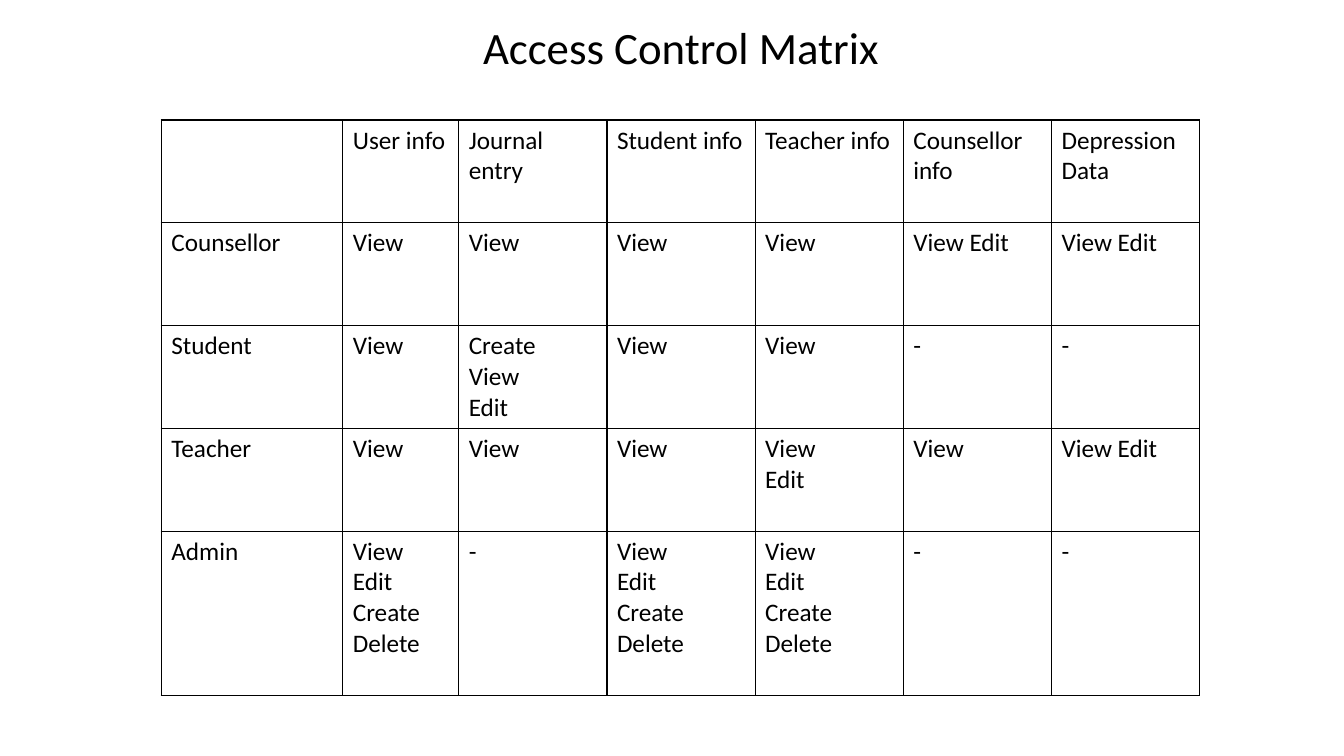
from lxml import etree
from pptx import Presentation
from pptx.dml.color import RGBColor
from pptx.enum.text import MSO_AUTO_SIZE, PP_ALIGN
from pptx.oxml.ns import qn
from pptx.util import Inches, Pt

BLACK = RGBColor(0, 0, 0)
FONT = "Calibri"
LEFT = PP_ALIGN.LEFT
CENTER = PP_ALIGN.CENTER
GROW = MSO_AUTO_SIZE.SHAPE_TO_FIT_TEXT
BORDER_SIDES = ("a:lnL", "a:lnR", "a:lnT", "a:lnB")

FULL_ACCESS = "View\nEdit\nCreate\nDelete"
ACCESS_ROWS = [
    ["", "User info", "Journal entry", "Student info", "Teacher info", "Counsellor info", "Depression Data"],
    ["Counsellor", "View", "View", "View", "View", "View Edit", "View Edit"],
    ["Student", "View", "Create\nView\nEdit", "View", "View", "-", "-"],
    ["Teacher", "View", "View", "View", "View\nEdit", "View", "View Edit"],
    ["Admin", FULL_ACCESS, "-", FULL_ACCESS, FULL_ACCESS, "-", "-"],
]
COLUMN_WIDTHS = [1.8, 1.15] + [1.47] * 5
ROW_HEIGHTS = [1.02] * 4 + [1.63]


def write_text(text_frame, text, size=18, color=BLACK, align=LEFT):
    text_frame.text = text
    for paragraph in text_frame.paragraphs:
        paragraph.alignment = align
        paragraph.font.size = Pt(size)
        for run in paragraph.runs:
            run.font.name = FONT
            run.font.size = Pt(size)
            run.font.color.rgb = color


class SlideBuilder:
    """Draws styled elements on the current slide."""

    def __init__(self, slide, border_color=BLACK, border_width=1):
        self.slide = slide
        self.border_color = border_color
        self.border_width = border_width

    def title(self, text, left, top, width, height):
        box = self.slide.shapes.add_textbox(Inches(left), Inches(top), Inches(width), Inches(height))
        box.text_frame.word_wrap = False
        box.text_frame.auto_size = GROW
        write_text(box.text_frame, text, size=32, align=CENTER)

    def border(self, cell):
        properties = cell._tc.get_or_add_tcPr()
        for side in BORDER_SIDES:
            line = etree.SubElement(properties, qn(side), w=str(Pt(self.border_width)))
            fill = etree.SubElement(line, qn("a:solidFill"))
            etree.SubElement(fill, qn("a:srgbClr"), val=str(self.border_color))

    def table(self, rows, left, top, column_widths, row_heights):
        frame = self.slide.shapes.add_table(
            len(rows), len(column_widths), Inches(left), Inches(top),
            Inches(sum(column_widths)), Inches(sum(row_heights)))
        table = frame.table
        table.first_row = False
        table.horz_banding = False
        for column, width in zip(table.columns, column_widths):
            column.width = Inches(width)
        for row, height, texts in zip(table.rows, row_heights, rows):
            row.height = Inches(height)
            for cell, text in zip(row.cells, texts):
                self.border(cell)
                cell.fill.background()
                write_text(cell.text_frame, text)


def main():
    presentation = Presentation()
    presentation.slide_width = Inches(13.33)
    presentation.slide_height = Inches(7.5)
    builder = SlideBuilder(presentation.slides.add_slide(presentation.slide_layouts[6]))
    builder.table(ACCESS_ROWS, 1.6, 1.19, COLUMN_WIDTHS, ROW_HEIGHTS)
    builder.title("Access Control Matrix", 4.67, 0.15, 4.17, 0.64)
    presentation.save("out.pptx")


if __name__ == "__main__":
    main()
